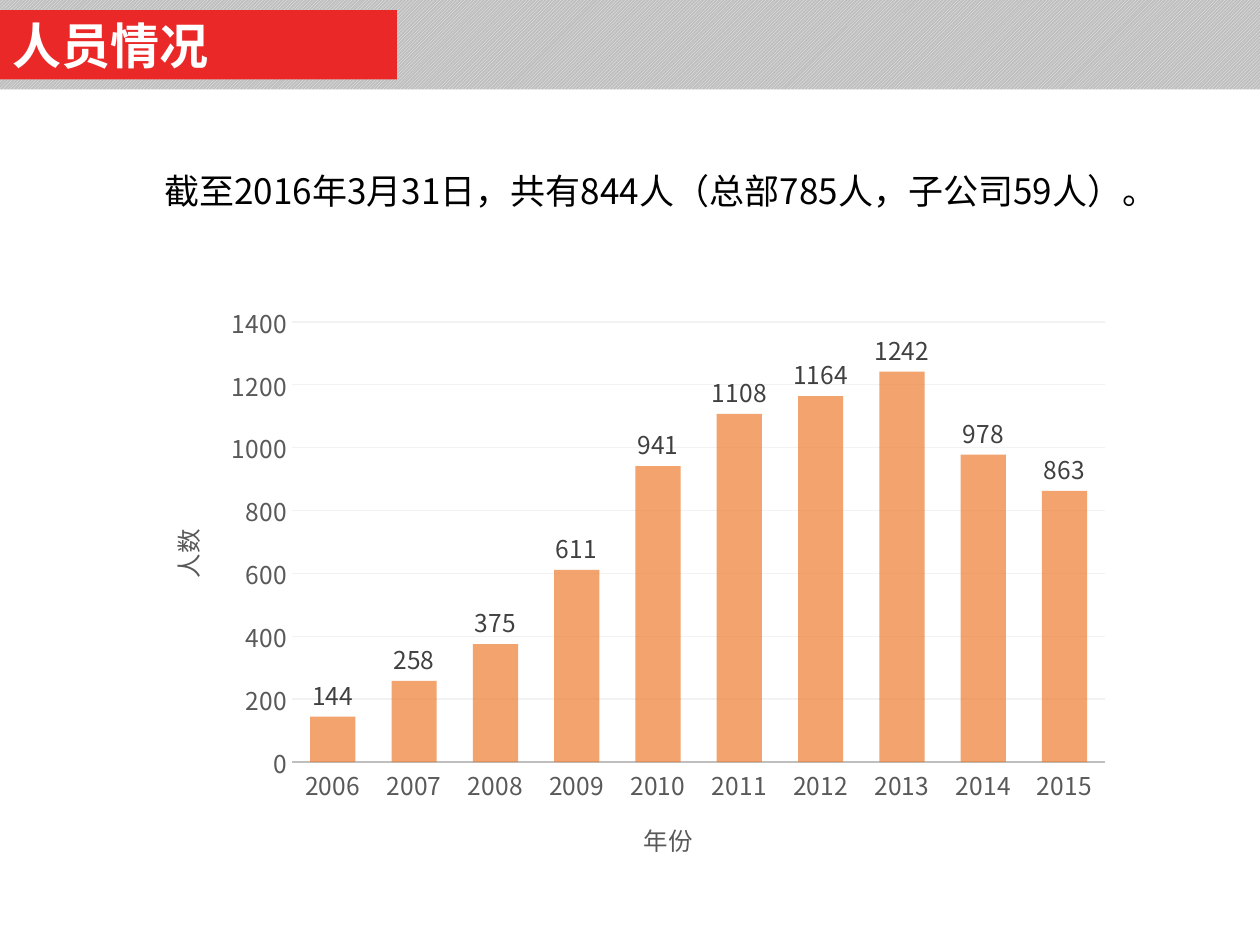
import pptx
import pptx.chart.data
import pptx.dml.color
import pptx.enum.chart
import pptx.enum.dml
import pptx.enum.shapes
import pptx.enum.text
import pptx.oxml
import pptx.oxml.ns
import pptx.util
from lxml import etree

Inches = pptx.util.Inches
Pt = pptx.util.Pt
qn = pptx.oxml.ns.qn

THEME = {
    "font": "Noto Sans CJK SC",
    "title": {"size": 28, "color": "FFFFFF", "bold": True},
    "summary": {"size": 20, "color": "000000", "bold": False},
    "axis": {"size": 14, "color": "595959", "bold": False},
    "label": {"size": 14, "color": "404040", "bold": False},
    "banner": "EB2828",
    "band_front": "F2F2F2",
    "band_back": "BFBFBF",
    "bar": "ED7D31",
    "bar_opacity": 70,
    "axis_line": "BFBFBF",
    "grid_line": "F2F2F2",
}


def rgb(name):
    return pptx.dml.color.RGBColor.from_string(THEME.get(name, name))


def format_font(font, style, run=None):
    values = {"name": THEME["font"], "size": Pt(style["size"]), "bold": style["bold"]}
    for attribute, value in values.items():
        setattr(font, attribute, value)
    font.color.rgb = rgb(style["color"])
    if run is not None:
        # East Asian glyphs take their typeface from a separate element
        east_asian = etree.SubElement(run._r.get_or_add_rPr(), qn("a:ea"))
        east_asian.set("typeface", THEME["font"])


presentation = pptx.Presentation()
presentation.slide_width = Inches(10)
presentation.slide_height = Inches(7.5)
slide = presentation.slides.add_slide(presentation.slide_layouts[5])
title = slide.shapes.title

# Headcount summary
summary = slide.shapes.add_textbox(Inches(0.62), Inches(1.23), Inches(8.75), Inches(0.5))
summary.text_frame.word_wrap = True
summary.text_frame.auto_size = pptx.enum.text.MSO_AUTO_SIZE.SHAPE_TO_FIT_TEXT
paragraph = summary.text_frame.paragraphs[0]
paragraph.alignment = pptx.enum.text.PP_ALIGN.CENTER
paragraph.line_spacing = 1.2
paragraph._p.get_or_add_pPr().set("indent", str(Inches(0.5)))
run = paragraph.add_run()
run.text = "截至2016年3月31日，共有844人（总部785人，子公司59人）。"
format_font(run.font, THEME["summary"], run)

# Headcount by year
chart_data = pptx.chart.data.CategoryChartData()
chart_data.categories = [str(year) for year in range(2006, 2016)]
chart_data.add_series("人数", (144, 258, 375, 611, 941, 1108, 1164, 1242, 978, 863))
chart = slide.shapes.add_chart(
    pptx.enum.chart.XL_CHART_TYPE.COLUMN_CLUSTERED,
    Inches(1.06), Inches(2.32), Inches(7.87), Inches(4.72), chart_data,
).chart
chart.has_title = False
chart.has_legend = False
format_font(chart.font, THEME["axis"])

# Axes
for axis, caption in ((chart.category_axis, "年份"), (chart.value_axis, "人数")):
    axis.major_tick_mark = pptx.enum.chart.XL_TICK_MARK.NONE
    axis.minor_tick_mark = pptx.enum.chart.XL_TICK_MARK.NONE
    format_font(axis.tick_labels.font, THEME["axis"])
    run = axis.axis_title.text_frame.paragraphs[0].add_run()
    run.text = caption
    format_font(run.font, THEME["axis"], run)
chart.category_axis.format.line.color.rgb = rgb("axis_line")
chart.category_axis.format.line.width = Pt(1.25)
value_axis = chart.value_axis
for attribute, value in {"minimum_scale": 0, "maximum_scale": 1400, "major_unit": 200}.items():
    setattr(value_axis, attribute, value)
value_axis.format.line.fill.background()
value_axis.major_gridlines.format.line.color.rgb = rgb("grid_line")
value_axis.major_gridlines.format.line.width = Pt(0.75)

# Bars and their labels
plot = chart.plots[0]
for attribute, value in {
    "gap_width": 80, "overlap": 25, "vary_by_categories": False, "has_data_labels": True,
}.items():
    setattr(plot, attribute, value)
plot.data_labels.show_value = True
plot.data_labels.position = pptx.enum.chart.XL_LABEL_POSITION.OUTSIDE_END
format_font(plot.data_labels.font, THEME["label"])
series = plot.series[0]
series.format.fill.solid()
series.format.fill.fore_color.rgb = rgb("bar")
bar_color = series._element.find(".//" + qn("a:srgbClr"))
etree.SubElement(bar_color, qn("a:alpha")).set("val", str(THEME["bar_opacity"] * 1000))

# Plot area position, as fractions of the chart
plot_area = chart._chartSpace.chart.plotArea
for old_layout in plot_area.findall(qn("c:layout")):
    plot_area.remove(old_layout)
layout = etree.Element(qn("c:layout"))
plot_area.insert(0, layout)
manual_layout = etree.SubElement(layout, qn("c:manualLayout"))
for tag, value in {
    "layoutTarget": "inner", "xMode": "edge", "yMode": "edge",
    "x": 0.16, "y": 0.05, "w": 0.82, "h": 0.74,
}.items():
    etree.SubElement(manual_layout, qn("c:" + tag)).set("val", str(value))

# Hatched header band
band = slide.shapes.add_shape(
    pptx.enum.shapes.MSO_SHAPE.RECTANGLE, 0, 0, Inches(10), Inches(0.71))
band.shadow.inherit = False
band.line.fill.background()
band.fill.patterned()
band.fill.pattern = pptx.enum.dml.MSO_PATTERN.DARK_UPWARD_DIAGONAL
band.fill.fore_color.rgb = rgb("band_front")
band.fill.back_color.rgb = rgb("band_back")

# Title on its red banner, in front of the band
for attribute, value in {
    "left": 0, "top": Inches(0.08), "width": Inches(3.15), "height": Inches(0.55),
}.items():
    setattr(title, attribute, value)
title.fill.solid()
title.fill.fore_color.rgb = rgb("banner")
title.text_frame.auto_size = pptx.enum.text.MSO_AUTO_SIZE.NONE
title.text_frame.vertical_anchor = pptx.enum.text.MSO_ANCHOR.MIDDLE
paragraph = title.text_frame.paragraphs[0]
paragraph.alignment = pptx.enum.text.PP_ALIGN.LEFT
run = paragraph.add_run()
run.text = "人员情况"
format_font(run.font, THEME["title"], run)
band._element.addnext(title._element)

presentation.save("out.pptx")
